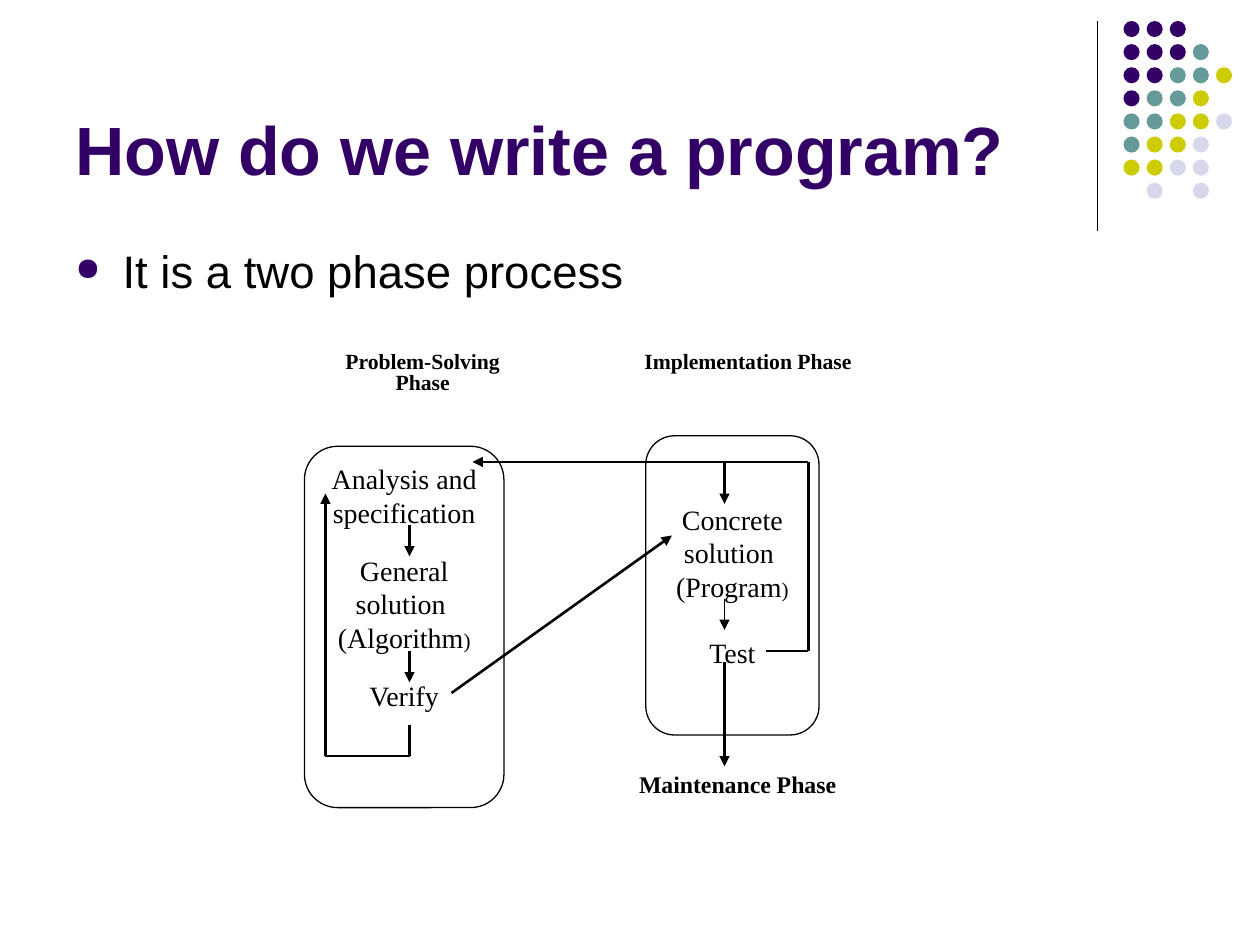
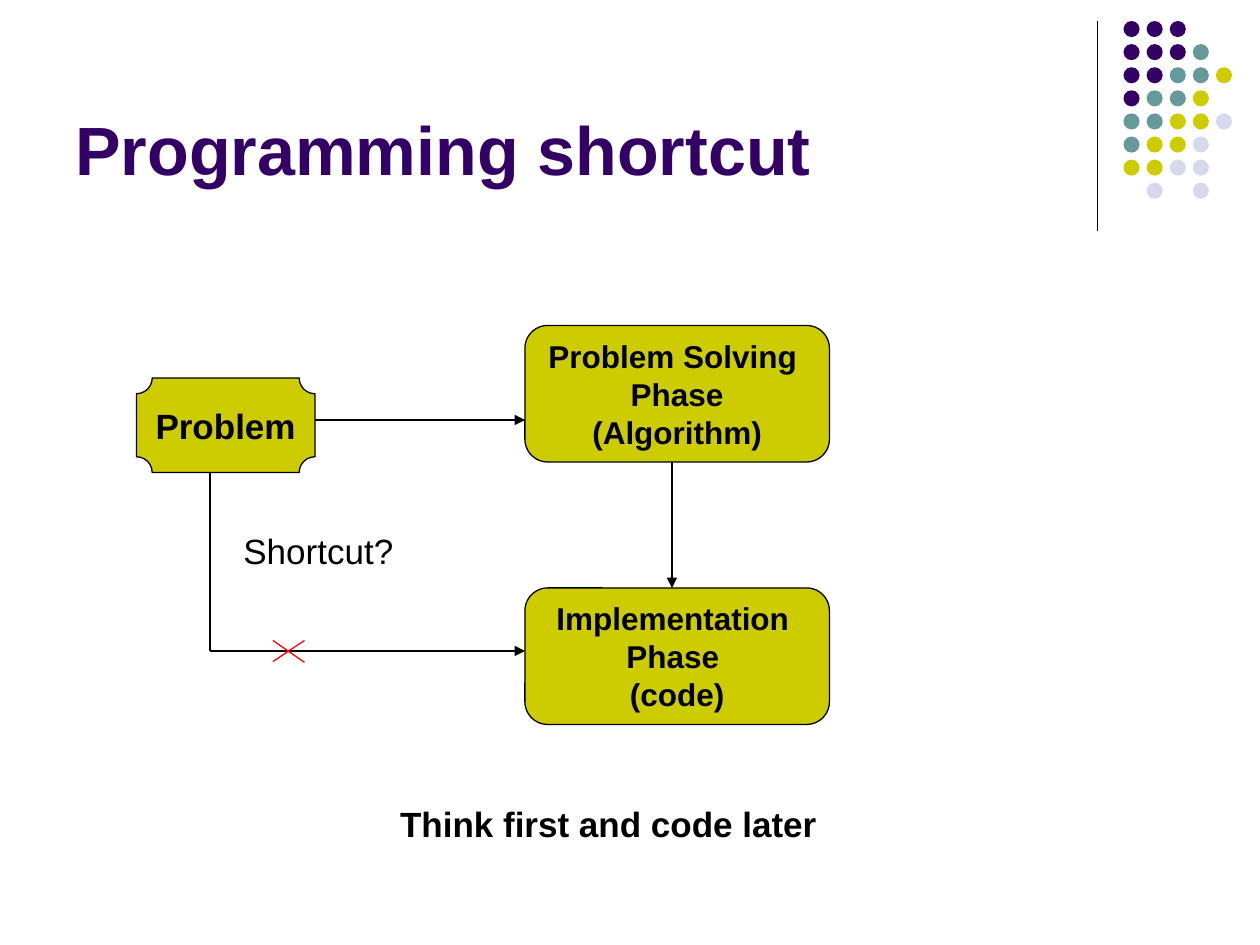
"""Builds two slides about the phases of writing a program."""
from dataclasses import dataclass

from pptx import Presentation
from pptx.dml.color import RGBColor
from pptx.enum import shapes, text
from pptx.oxml import ns, xmlchemy
from pptx.util import Pt


@dataclass(frozen=True)
class Theme:
    purple: str = "330066"
    teal: str = "669999"
    olive: str = "CCCC00"
    lilac: str = "D8D8EC"
    white: str = "FFFFFF"
    black: str = "000000"
    red: str = "FF0000"
    sans: str = "Arial"
    serif: str = "Times New Roman"
    title: float = 39
    body: float = 26
    label: float = 20
    phase: float = 18
    step: float = 16
    bracket: float = 12
    heading: float = 12.4
    footing: float = 13.6
    thin: float = 0.75
    thick: float = 1.5


theme = Theme()
kinds = shapes.MSO_SHAPE
center = text.PP_ALIGN.CENTER
left = text.PP_ALIGN.LEFT


def write(box, lines, size, font=theme.sans, color=theme.black, bold=False,
          align=left, anchor=text.MSO_ANCHOR.TOP, wrap=True):
    """Write lines, each a list of (words, size) runs or a plain string."""
    frame = box.text_frame
    frame.word_wrap = wrap
    frame.vertical_anchor = anchor
    for index, line in enumerate(lines):
        para = frame.add_paragraph() if index else frame.paragraphs[0]
        para.alignment = align
        for words, span_size in [(line, size)] if isinstance(line, str) else line:
            span = para.add_run()
            span.text = words
            span.font.name = font
            span.font.size = Pt(span_size)
            span.font.bold = bold
            span.font.color.rgb = RGBColor.from_string(color)
    return frame.paragraphs


def draw_line(page, start, end, color=theme.black, width=theme.thick, arrow=False):
    """Draw a straight line, with an arrowhead at its end if asked."""
    line = page.shapes.add_connector(
        shapes.MSO_CONNECTOR.STRAIGHT, *(Pt(value) for value in (*start, *end)))
    line.line.color.rgb = RGBColor.from_string(color)
    line.line.width = Pt(width)
    properties = line._element.spPr
    if arrow:
        head = xmlchemy.OxmlElement("a:tailEnd")
        head.set("type", "triangle")
        properties.find(ns.qn("a:ln")).append(head)
    properties.append(xmlchemy.OxmlElement("a:effectLst"))


deck = Presentation()
deck.slide_width, deck.slide_height = Pt(720), Pt(540)

dot_colors = {"P": theme.purple, "T": theme.teal, "O": theme.olive, "L": theme.lilac}
dot_rows = ["PPP", "PPPT", "PPTTO", "PTTO", "TTOOL", "TOOL", "OOLL", " L L"]
dot_size, dot_pitch = 9.2, 13.2

pages = []
for title in ["How do we write a program?", "Programming shortcut"]:
    page = deck.slides.add_slide(deck.slide_layouts[6])
    pages.append(page)
    draw_line(page, (627, 12), (627, 132), width=theme.thin)
    dots = page.shapes.add_group_shape()
    for row, letters in enumerate(dot_rows):
        for column, letter in enumerate(letters):
            if letter in dot_colors:
                dot = dots.shapes.add_shape(
                    kinds.OVAL, Pt(642 + column * dot_pitch), Pt(12 + row * dot_pitch),
                    Pt(dot_size), Pt(dot_size))
                dot.shadow.inherit = False
                dot.fill.solid()
                dot.fill.fore_color.rgb = RGBColor.from_string(dot_colors[letter])
                dot.line.fill.background()
    box = page.shapes.add_textbox(Pt(36), Pt(9.5), Pt(594), Pt(102))
    write(box, [title], theme.title, color=theme.purple, bold=True,
          anchor=text.MSO_ANCHOR.BOTTOM)

process, shortcut = pages

body = process.shapes.add_textbox(Pt(36), Pt(135.5), Pt(648), Pt(347))
bullet_line = write(body, ["It is a two phase process"], theme.body)[0]
bullet = bullet_line._p.get_or_add_pPr()
bullet.set("marL", str(Pt(27)))
bullet.set("indent", str(-Pt(27)))
bullet_color = xmlchemy.OxmlElement("a:buClr")
swatch = xmlchemy.OxmlElement("a:srgbClr")
swatch.set("val", theme.purple)
bullet_color.append(swatch)
bullet_size = xmlchemy.OxmlElement("a:buSzPct")
bullet_size.set("val", "70000")
bullet_sign = xmlchemy.OxmlElement("a:buChar")
bullet_sign.set("char", "●")
for part in (bullet_color, bullet_size, bullet_sign):
    bullet.append(part)

solving_steps = [
    "Analysis and specification", "General solution ",
    [("(Algorithm", theme.step), (")", theme.bracket)], "Verify"]
coding_steps = [
    "Concrete solution ", [("(Program", theme.step), (")", theme.bracket)], "Test"]
for place, inset, steps, gaps in [
        ((174, 255, 114, 206.5), 3.6, solving_steps, {1: 14.5, 3: 14.5}),
        ((369, 249, 99, 171), 33.6, coding_steps, {2: 19})]:
    box = process.shapes.add_shape(
        kinds.FLOWCHART_ALTERNATE_PROCESS, *(Pt(value) for value in place))
    box.shadow.inherit = False
    box.fill.solid()
    box.fill.fore_color.rgb = RGBColor.from_string(theme.white)
    box.line.color.rgb = RGBColor.from_string(theme.black)
    box.line.width = Pt(theme.thin)
    box.text_frame.margin_top = Pt(inset)
    for index, para in enumerate(
            write(box, steps, theme.step, font=theme.serif, align=center)):
        para.line_spacing = Pt(19)
        para.space_before = Pt(gaps.get(index, 0))

for words, x, y, size, spacing in [
        ("Problem-Solving Phase", 174, 198, theme.heading, 0.8),
        ("Implementation Phase", 360, 198, theme.heading, 0.8),
        ("Maintenance Phase", 354, 438, theme.footing, 0.9)]:
    box = process.shapes.add_textbox(Pt(x), Pt(y), Pt(135), Pt(36))
    write(box, [words], size, font=theme.serif, bold=True,
          align=center)[0].line_spacing = spacing

for route in [
        [(234, 300), (234, 318)],
        [(234, 372), (234, 390)],
        [(234, 414), (234, 432), (186, 432), (186, 282)],
        [(414, 264), (414, 288)],
        [(414, 378), (414, 438)],
        [(258, 396), (384, 306)],
        [(438, 372), (462, 372), (462, 264), (270, 264)]]:
    for start, end in zip(route, route[1:]):
        draw_line(process, start, end, arrow=end == route[-1])
draw_line(process, (414, 342), (414, 360), width=theme.thin, arrow=True)

for kind, place, lines, size in [
        (kinds.PLAQUE, (78, 216, 102, 54), ["Problem"], theme.label),
        (kinds.ROUNDED_RECTANGLE, (300, 186, 174, 78),
         ["Problem Solving ", "Phase", "(Algorithm)"], theme.phase),
        (kinds.ROUNDED_RECTANGLE, (300, 336, 174, 78),
         ["Implementation ", "Phase ", "(code)"], theme.phase)]:
    box = shortcut.shapes.add_shape(kind, *(Pt(value) for value in place))
    box.shadow.inherit = False
    box.fill.solid()
    box.fill.fore_color.rgb = RGBColor.from_string(theme.olive)
    box.line.color.rgb = RGBColor.from_string(theme.black)
    box.line.width = Pt(theme.thin)
    write(box, lines, size, bold=True, align=center,
          anchor=text.MSO_ANCHOR.MIDDLE, wrap=False)

for route in [
        [(180, 240), (300, 240)],
        [(384, 264), (384, 336)],
        [(120, 270), (120, 372), (300, 372)]]:
    for start, end in zip(route, route[1:]):
        draw_line(shortcut, start, end, arrow=end == route[-1])
for start, end in [((174, 366), (156, 378)), ((174, 378.5), (156, 366))]:
    draw_line(shortcut, start, end, color=theme.red, width=theme.thin)

for words, x, y, width, bold in [
        ("Shortcut?", 132, 299, 100, False),
        ("Think first and code later", 221.5, 455, 253, True)]:
    box = shortcut.shapes.add_textbox(Pt(x), Pt(y), Pt(width), Pt(31.5))
    write(box, [words], theme.label, bold=bold, wrap=False)

deck.save("out.pptx")
